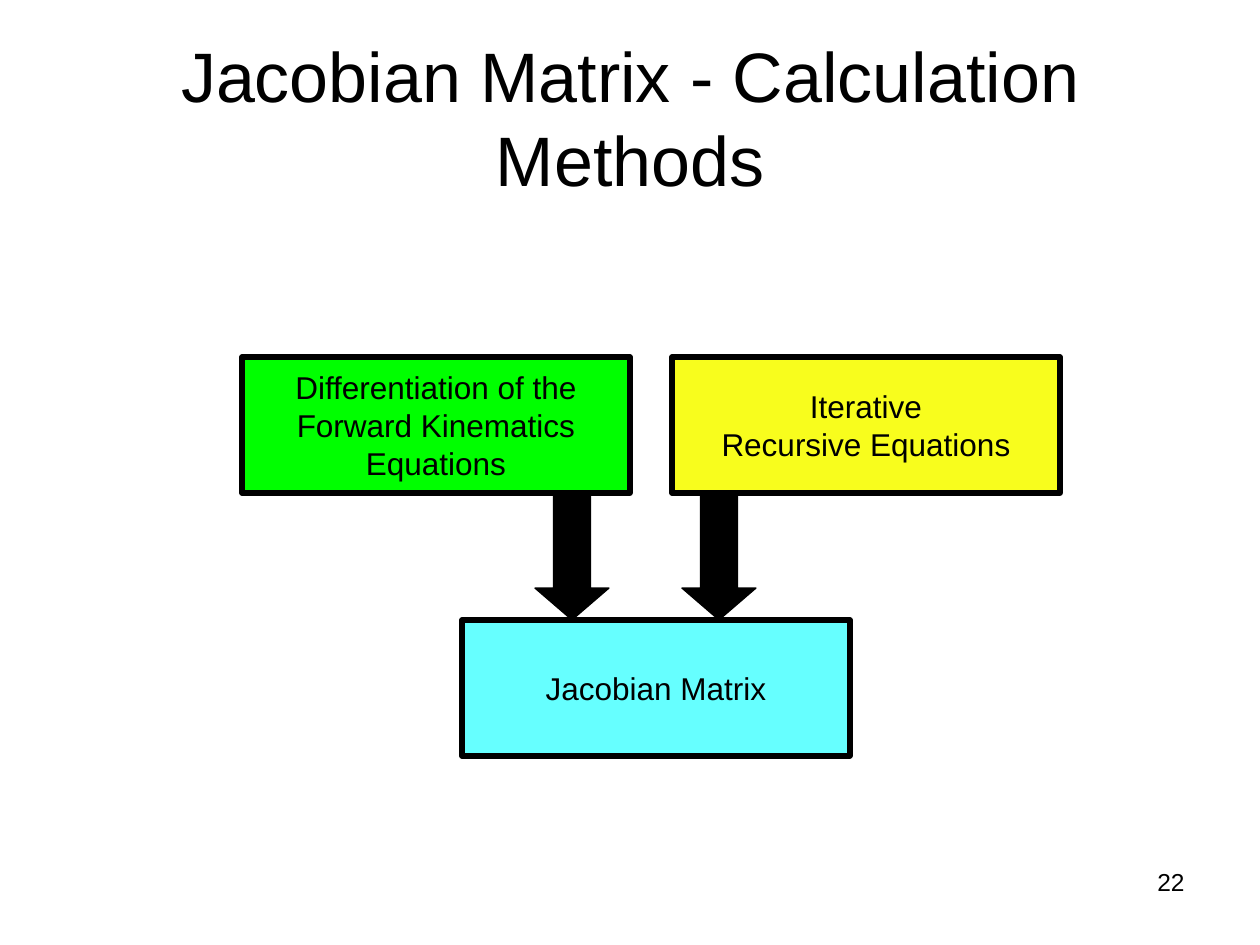
"""Build a slide on the two ways to calculate the Jacobian matrix."""
from pptx import Presentation
from pptx.dml.color import RGBColor
from pptx.enum.shapes import MSO_SHAPE
from pptx.enum.text import MSO_ANCHOR, PP_ALIGN
from pptx.util import Pt

PX = 914400 / 126
RECT, DOWN_ARROW = MSO_SHAPE.RECTANGLE, MSO_SHAPE.DOWN_ARROW
CENTER, RIGHT = PP_ALIGN.CENTER, PP_ALIGN.RIGHT
MIDDLE, TOP = MSO_ANCHOR.MIDDLE, MSO_ANCHOR.TOP
BLACK = "000000"


def px(*lengths):
    return [round(length * PX) for length in lengths]


def write(holder, text, size, align=CENTER, anchor=MIDDLE):
    frame = holder.text_frame
    frame.text = text
    frame.word_wrap = True
    frame.vertical_anchor = anchor
    font_format = {"name": "Arial", "size": Pt(size), "bold": False}
    for paragraph in frame.paragraphs:
        paragraph.alignment = align
        for run in paragraph.runs:
            for attribute, value in font_format.items():
                setattr(run.font, attribute, value)
            run.font.color.rgb = RGBColor.from_string(BLACK)


prs = Presentation()
prs.slide_width, prs.slide_height = px(1260, 945)
slide = prs.slides.add_slide(prs.slide_layouts[5])
shapes = slide.shapes

page_number = shapes.add_textbox(*px(903, 861, 294, 66))
write(page_number, "22", 14, RIGHT, TOP)

heading = shapes.title
heading.left, heading.top, heading.width, heading.height = px(63, 38, 1134, 158)
write(heading, "Jacobian Matrix - Calculation Methods", 40)

METHOD_TOP, RESULT_TOP = 357, 620
BOX_WIDTH, BOX_HEIGHT = 388, 136
ARROW_TOP = METHOD_TOP + BOX_HEIGHT
ARROW_SIZE = (74, RESULT_TOP - ARROW_TOP)

steps = [
    (242, METHOD_TOP, "00FF00", "Differentiation of the Forward Kinematics Equations"),
    (462, RESULT_TOP, "66FFFF", "Jacobian Matrix"),
    (672, METHOD_TOP, "F8FD1D", "Iterative\nRecursive Equations"),
]
for left, top, color, label in steps:
    step = shapes.add_shape(RECT, *px(left, top, BOX_WIDTH, BOX_HEIGHT))
    step.shadow.inherit = False
    step.fill.solid()
    step.fill.fore_color.rgb = RGBColor.from_string(color)
    step.line.color.rgb = RGBColor.from_string(BLACK)
    step.line.width = Pt(3)
    write(step, label, 18)

for left in (535, 682):
    arrow = shapes.add_shape(DOWN_ARROW, *px(left, ARROW_TOP, *ARROW_SIZE))
    arrow.adjustments[0] = 0.5
    arrow.adjustments[1] = 0.43
    arrow.shadow.inherit = False
    arrow.fill.solid()
    arrow.fill.fore_color.rgb = RGBColor.from_string(BLACK)
    arrow.line.color.rgb = RGBColor.from_string(BLACK)
    arrow.line.width = Pt(0.75)

prs.save("out.pptx")
